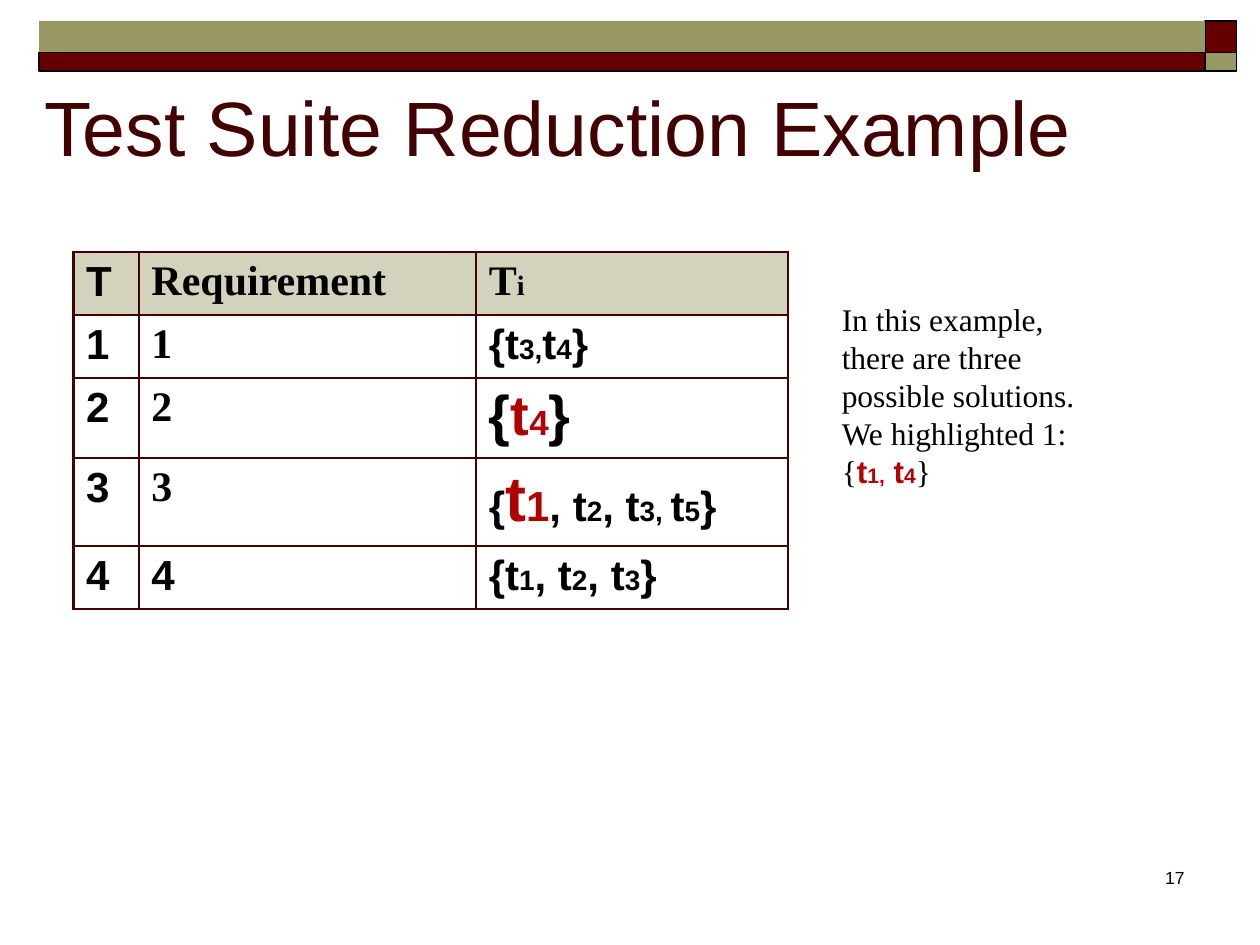
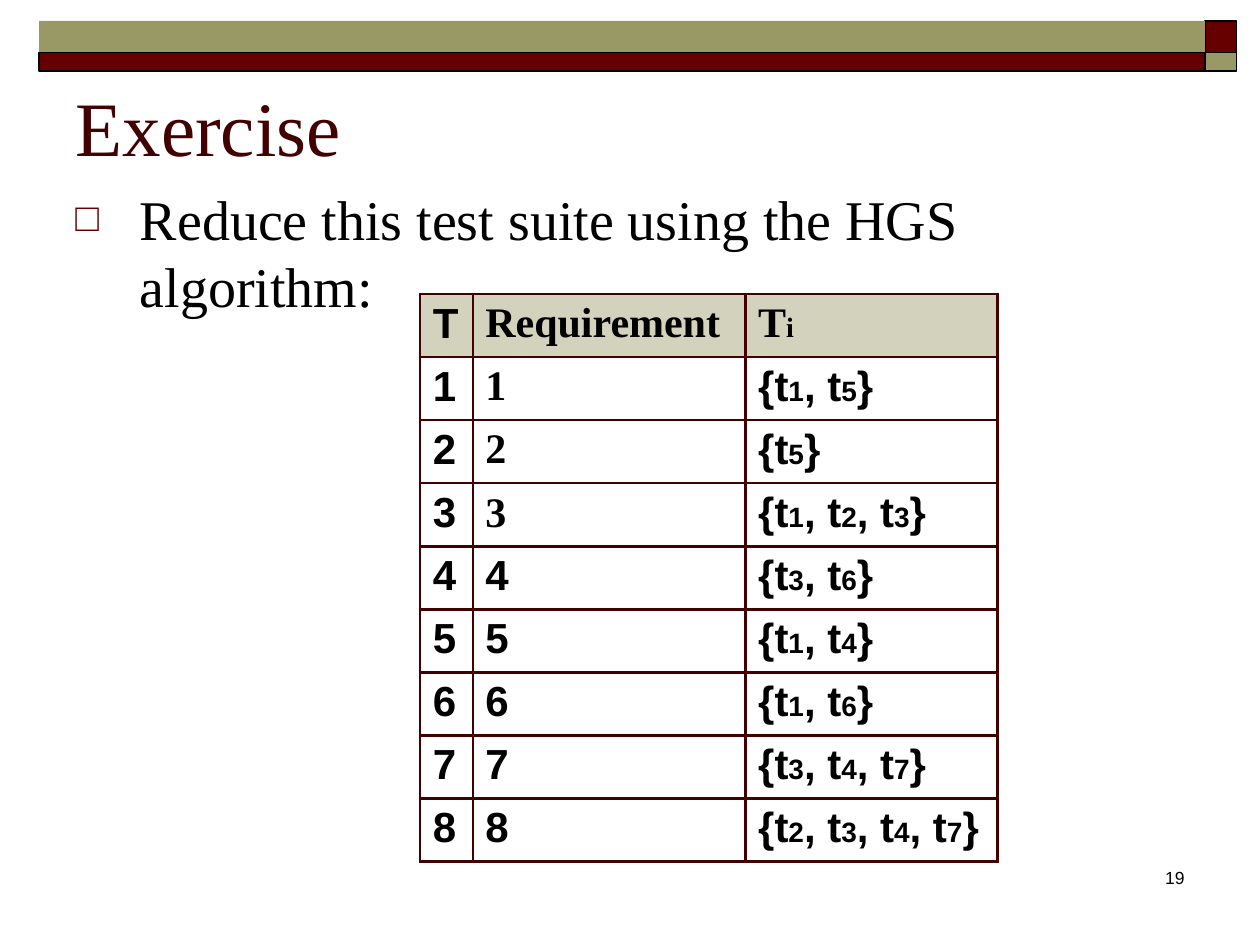
"""Build two slides on test suite reduction: a worked example and an exercise."""
from lxml.etree import SubElement
from pptx import Presentation
from pptx.dml.color import RGBColor
from pptx.enum.shapes import MSO_SHAPE
from pptx.enum.text import MSO_ANCHOR, MSO_AUTO_SIZE, PP_ALIGN
from pptx.oxml import parse_xml
from pptx.oxml.ns import nsdecls, qn
from pptx.util import Cm, Pt

MAROON = RGBColor(0x66, 0x00, 0x00)
OLIVE = RGBColor(0x99, 0x99, 0x66)
DARK_MAROON = RGBColor(0x42, 0x00, 0x00)
HIGHLIGHT = RGBColor(0xB1, 0x00, 0x00)
HEADER_FILL = RGBColor(0xD3, 0xD2, 0xBC)
BLACK = RGBColor(0x00, 0x00, 0x00)
SANS = "Arial"
SERIF = "Times New Roman"


def add_runs(paragraph, markup, font=SANS, size=24, small=16, colour=BLACK, bold=True):
    """Add runs split at "|", alternating between normal and small size."""
    for position, text in enumerate(markup.split("|")):
        run = paragraph.add_run()
        run.text = text
        run.font.name = font
        run.font.size = Pt(small if position % 2 else size)
        run.font.bold = bold
        run.font.color.rgb = colour


def add_requirements(slide, left, top, widths, heights, test_sets):
    """Add the table of requirements; each test set is a list of (markup, options)."""
    table = slide.shapes.add_table(len(heights), len(widths), Cm(left), Cm(top),
                                   Cm(sum(widths)), Cm(sum(heights))).table
    table.first_row = table.horz_banding = False
    for column, width in zip(table.columns, widths):
        column.width = Cm(width)
    for row, height in zip(table.rows, heights):
        row.height = Cm(height)
    header = [[("T", {})], [("Requirement", {"font": SERIF})], [("T|i", {"font": SERIF})]]
    rows = [header]
    for number, test_set in enumerate(test_sets, 1):
        number_font = SERIF if number <= 3 else SANS
        rows.append([[(str(number), {})], [(str(number), {"font": number_font})], test_set])
    for row_index, contents in enumerate(rows):
        for column_index, pieces in enumerate(contents):
            cell = table.cell(row_index, column_index)
            properties = cell._tc.get_or_add_tcPr()
            for side in ("lnL", "lnR", "lnT", "lnB"):
                properties.append(parse_xml(
                    f'<a:{side} {nsdecls("a")} w="{Pt(1.47)}"><a:solidFill>'
                    f'<a:srgbClr val="{DARK_MAROON}"/></a:solidFill></a:{side}>'))
            if row_index == 0:
                cell.fill.solid()
                cell.fill.fore_color.rgb = HEADER_FILL
            else:
                cell.fill.background()
            for markup, options in pieces:
                add_runs(cell.text_frame.paragraphs[0], markup, **options)


deck = Presentation()
deck.slide_width, deck.slide_height = Cm(25.4), Cm(19.05)
title_only = deck.slide_layouts[5]

pages = [("Test Suite Reduction Example", SANS, 0.64, 23.5, 2.12, "17"),
         ("Exercise", SERIF, 1.27, 22.86, 3.18, "19")]
for heading, heading_font, left, width, height, page_number in pages:
    slide = deck.slides.add_slide(title_only)
    title = slide.shapes.title
    title.left, title.top, title.width, title.height = Cm(left), Cm(1.48), Cm(width), Cm(height)
    title.text_frame.text = heading
    title.text_frame.auto_size = MSO_AUTO_SIZE.NONE
    title.text_frame.vertical_anchor = MSO_ANCHOR.TOP
    heading_line = title.text_frame.paragraphs[0]
    heading_line.alignment = PP_ALIGN.LEFT
    heading_line.font.name = heading_font
    heading_line.font.size = Pt(44)
    heading_line.font.color.rgb = DARK_MAROON

    footer = slide.shapes.add_textbox(Cm(18.84), Cm(17.36), Cm(5.29), Cm(1.27))
    footer.text_frame.word_wrap = True
    footer_line = footer.text_frame.paragraphs[0]
    footer_line.alignment = PP_ALIGN.RIGHT
    add_runs(footer_line, page_number, size=10, bold=False)

example, exercise = deck.slides

bands = [(24.29, 0.42, 0.64, 0.64, MAROON, True), (0.79, 0.42, 23.5, 0.64, OLIVE, False),
         (0.79, 1.06, 23.5, 0.38, MAROON, True), (24.29, 1.06, 0.64, 0.38, OLIVE, True)]
for band_id, (left, top, width, height, colour, outlined) in enumerate(bands, 20):
    band = example.shapes.add_shape(MSO_SHAPE.RECTANGLE, Cm(left), Cm(top), Cm(width), Cm(height))
    band.shadow.inherit = False
    band.fill.solid()
    band.fill.fore_color.rgb = colour
    if outlined:
        band.line.color.rgb = BLACK
        band.line.width = Pt(1)
    else:
        band.line.fill.background()
    band.element.nvSpPr.cNvPr.set("id", str(band_id))
    title_only.shapes.element.append(band.element)

example_sets = [
    [("{t|3,|t|4|}", {})],
    [("{", {"size": 32}), ("t|4", {"size": 32, "small": 20, "colour": HIGHLIGHT}),
     ("}", {"size": 32})],
    [("{", {}), ("t|1", {"size": 36, "small": 24, "colour": HIGHLIGHT}),
     (", t|2|, t|3, |t|5|}", {})],
    [("{t|1|, t|2|, t|3|}", {})],
]
add_requirements(example, 1.48, 5.08, [1.32, 6.8, 6.28], [1.27, 1.27, 1.61, 1.78, 1.27],
                 example_sets)

note = example.shapes.add_textbox(Cm(16.72), Cm(5.93), Cm(5.93), Cm(4.06))
note.text_frame.word_wrap = True
note_line = note.text_frame.paragraphs[0]
plain = {"font": SERIF, "size": 18, "bold": False}
add_runs(note_line, "In this example, there are three possible solutions. We highlighted 1: {",
         **plain)
add_runs(note_line, "t|1,| t|4", size=18, small=12, colour=HIGHLIGHT)
add_runs(note_line, "}", **plain)

task = exercise.shapes.add_textbox(Cm(1.27), Cm(3.6), Cm(22.86), Cm(3.6))
task.text_frame.word_wrap = True
task_line = task.text_frame.paragraphs[0]
bullet = task_line._p.get_or_add_pPr()
bullet.set("marL", str(Cm(1.3)))
bullet.set("indent", str(-Cm(1.3)))
SubElement(SubElement(bullet, qn("a:buClr")), qn("a:srgbClr"), val=str(MAROON))
SubElement(bullet, qn("a:buSzPct"), val="70000")
SubElement(bullet, qn("a:buFont"), typeface=SANS)
SubElement(bullet, qn("a:buChar"), char="□")
add_runs(task_line, "Reduce this test suite using the HGS algorithm:", SERIF, 32, bold=False)

exercise_sets = ["{t|1|, t|5|}", "{t|5|}", "{t|1|, t|2|, t|3|}", "{t|3|, t|6|}", "{t|1|, t|4|}",
                 "{t|1|, t|6|}", "{t|3|, t|4|, t|7|}", "{t|2|, t|3|, t|4|, t|7|}"]
add_requirements(exercise, 8.47, 5.93, [1.06, 5.5, 5.08], [1.27] * 9,
                 [[(test_set, {})] for test_set in exercise_sets])

deck.save("out.pptx")
